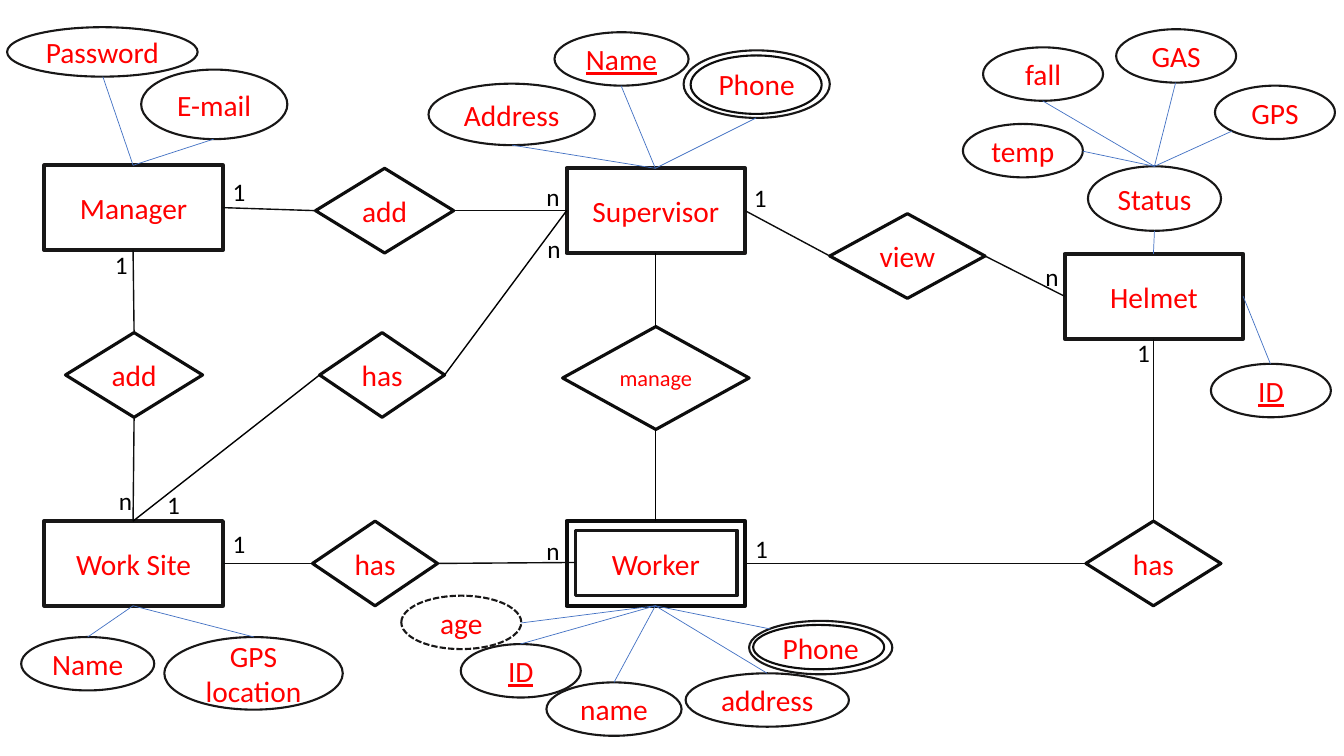
from dataclasses import dataclass
from typing import Any

from pptx import Presentation
from pptx.dml.color import RGBColor
from pptx.enum.dml import MSO_LINE
from pptx.enum.shapes import MSO_CONNECTOR, MSO_SHAPE
from pptx.enum.text import MSO_ANCHOR, MSO_AUTO_SIZE, PP_ALIGN
from pptx.oxml.ns import qn
from pptx.util import Pt

RECTANGLE, DIAMOND, OVAL = MSO_SHAPE.RECTANGLE, MSO_SHAPE.DIAMOND, MSO_SHAPE.OVAL
STRAIGHT = MSO_CONNECTOR.STRAIGHT
DASHED = MSO_LINE.SQUARE_DOT
MIDDLE, CENTER = MSO_ANCHOR.MIDDLE, PP_ALIGN.CENTER
FIT_SHAPE = MSO_AUTO_SIZE.SHAPE_TO_FIT_TEXT

EMU_PER_PX = 9144
INK, DARK, BLACK, RED, BLUE = "181717", "0D0D0D", "000000", "FF0000", "4472C4"
FONT = "Calibri"

SIDES = {
    "top": (0.5, 0), "bottom": (0.5, 1), "left": (0, 0.5), "right": (1, 0.5),
    "top left": (0.146, 0.146), "bottom left": (0.146, 0.854),
}


@dataclass(frozen=True)
class Style:
    shape: Any
    color: str
    weight: float
    dash: Any = None


@dataclass(frozen=True)
class Node:
    text: str
    style: Style
    left: int
    top: int
    width: int
    height: int
    size: int = 21
    underline: bool = False

    def point(self, side: str) -> tuple[int, int]:
        across, down = SIDES[side]
        return round(self.left + across * self.width), round(self.top + down * self.height)


@dataclass(frozen=True)
class Link:
    start: str
    start_side: str
    end: str
    end_side: str
    color: str = DARK
    weight: float = 1


@dataclass(frozen=True)
class Cardinality:
    text: str
    left: int
    top: int


ENTITY = Style(RECTANGLE, INK, 3)
WEAK_ENTITY = Style(RECTANGLE, DARK, 3)
INNER_BOX = Style(RECTANGLE, INK, 2.25)
RELATION = Style(DIAMOND, DARK, 2.25)
ATTRIBUTE = Style(OVAL, INK, 1.5)
DERIVED = Style(OVAL, INK, 1.5, DASHED)
INNER_OVAL = Style(OVAL, DARK, 1.5)

NODES = {
    "manager": Node("Manager", ENTITY, 44, 164, 177, 84),
    "worker": Node("Worker", WEAK_ENTITY, 562, 517, 177, 84),
    "site": Node("Work Site", ENTITY, 44, 517, 177, 84),
    "helmet": Node("Helmet", ENTITY, 1056, 252, 177, 84),
    "supervisor": Node("Supervisor", ENTITY, 562, 167, 177, 84),
    "worker inner": Node("", INNER_BOX, 571, 526, 160, 65),
    "manage": Node("manage", RELATION, 558, 324, 185, 102, size=16),
    "helmet has": Node("has", RELATION, 1077, 517, 134, 84),
    "site has": Node("has", RELATION, 310, 517, 124, 84),
    "view": Node("view", RELATION, 823, 212, 154, 84),
    "add supervisor": Node("add", RELATION, 313, 167, 137, 84),
    "add site": Node("add", RELATION, 65, 330, 136, 84),
    "supervisor has": Node("has", RELATION, 317, 330, 124, 84),
    "worker name": Node("name", ATTRIBUTE, 542, 677, 134, 53),
    "worker address": Node("address", ATTRIBUTE, 680, 668, 162, 53),
    "worker id": Node("ID", ATTRIBUTE, 457, 639, 119, 53, underline=True),
    "worker phone": Node("Phone", ATTRIBUTE, 743, 616, 142, 53),
    "worker phone inner": Node("", INNER_OVAL, 747, 620, 130, 44),
    "worker age": Node("age", DERIVED, 398, 591, 119, 53),
    "site name": Node("Name", ATTRIBUTE, 21, 632, 132, 53),
    "site location": Node("GPS location", ATTRIBUTE, 163, 632, 177, 72),
    "email": Node("E-mail", ATTRIBUTE, 140, 69, 145, 69),
    "password": Node("Password", ATTRIBUTE, 7, 27, 189, 49),
    "phone": Node("Phone", ATTRIBUTE, 678, 50, 145, 67),
    "phone inner": Node("", INNER_OVAL, 685, 55, 130, 58),
    "name": Node("Name", ATTRIBUTE, 550, 32, 133, 53, underline=True),
    "address": Node("Address", ATTRIBUTE, 425, 83, 165, 61),
    "helmet id": Node("ID", ATTRIBUTE, 1201, 361, 119, 53, underline=True),
    "status": Node("Status", ATTRIBUTE, 1079, 165, 132, 64),
    "gas": Node("GAS", ATTRIBUTE, 1107, 29, 119, 53),
    "gps": Node("GPS", ATTRIBUTE, 1205, 85, 119, 53),
    "fall": Node("fall", ATTRIBUTE, 975, 47, 119, 53),
    "temp": Node("temp", ATTRIBUTE, 955, 123, 119, 53),
}

RELATION_LINKS = [
    Link("supervisor", "bottom", "manage", "top", BLACK),
    Link("manage", "bottom", "worker", "top", BLACK),
    Link("manager", "right", "add supervisor", "left"),
    Link("add supervisor", "right", "supervisor", "left"),
    Link("supervisor", "right", "view", "left"),
    Link("view", "right", "helmet", "left"),
    Link("helmet", "bottom", "helmet has", "top"),
    Link("helmet has", "left", "worker", "right"),
    Link("site has", "left", "site", "right"),
    Link("site has", "right", "worker inner", "left"),
    Link("site", "top", "add site", "bottom"),
    Link("add site", "top", "manager", "bottom"),
    Link("supervisor", "left", "supervisor has", "right", BLACK),
    Link("supervisor has", "left", "site", "top", BLACK),
]

ATTRIBUTE_SIDES = {
    ("supervisor", "top"): {"phone": "bottom", "name": "bottom", "address": "bottom"},
    ("manager", "top"): {"password": "bottom", "email": "bottom"},
    ("site", "bottom"): {"site location": "top", "site name": "top"},
    ("worker", "bottom"): {
        "worker id": "top", "worker name": "top", "worker address": "top",
        "worker phone": "top left", "worker age": "right",
    },
    ("helmet", "right"): {"helmet id": "top"},
    ("helmet", "top"): {"status": "bottom"},
    ("status", "top"): {
        "gps": "bottom left", "fall": "bottom", "temp": "right", "gas": "bottom",
    },
}

ATTRIBUTE_LINKS = [
    Link(owner, owner_side, attribute, side, BLUE, 0.5)
    for (owner, owner_side), attributes in ATTRIBUTE_SIDES.items()
    for attribute, side in attributes.items()
]

CARDINALITIES = [
    Cardinality("1", 221, 519), Cardinality("1", 738, 176), Cardinality("1", 739, 524),
    Cardinality("1", 1118, 330), Cardinality("1", 221, 170), Cardinality("1", 104, 242),
    Cardinality("1", 156, 481), Cardinality("n", 108, 477), Cardinality("n", 533, 227),
    Cardinality("n", 532, 526), Cardinality("n", 532, 175), Cardinality("n", 1027, 254),
]


def px(*lengths: int) -> list[int]:
    return [length * EMU_PER_PX for length in lengths]


def paint(color_format: Any, color: str) -> None:
    color_format.rgb = RGBColor.from_string(color)


def apply(target: Any, values: dict[str, Any]) -> None:
    for name, value in values.items():
        setattr(target, name, value)


def write(box: Any, text: str, color: str, frame: dict, para: dict, font: dict) -> None:
    apply(box.text_frame, frame)
    paragraph = box.text_frame.paragraphs[0]
    apply(paragraph, para)
    span = paragraph.add_run()
    span.text = text
    apply(span.font, {"name": FONT, **font})
    paint(span.font.color, color)


def draw_node(page: Any, node: Node) -> None:
    style = node.style
    box = page.shapes.add_shape(style.shape, *px(node.left, node.top, node.width, node.height))
    box.shadow.inherit = False
    box.fill.background()
    paint(box.line.color, style.color)
    apply(box.line, {"width": Pt(style.weight), "dash_style": style.dash})
    if node.text:
        write(box, node.text, RED,
              {"word_wrap": True, "vertical_anchor": MIDDLE, "margin_left": 0, "margin_right": 0},
              {"alignment": CENTER},
              {"size": Pt(node.size), "underline": node.underline or None})


def draw_link(page: Any, link: Link) -> None:
    start = NODES[link.start].point(link.start_side)
    end = NODES[link.end].point(link.end_side)
    line = page.shapes.add_connector(STRAIGHT, *px(*start, *end))
    paint(line.line.color, link.color)
    line.line.width = Pt(link.weight)
    properties = line._element.spPr
    properties.append(properties.makeelement(qn("a:effectLst"), {}))


def draw_cardinality(page: Any, mark: Cardinality) -> None:
    box = page.shapes.add_textbox(*px(mark.left, mark.top, 33, 40))
    write(box, mark.text, BLACK, {"word_wrap": False, "auto_size": FIT_SHAPE}, {},
          {"size": Pt(18)})


def main() -> None:
    deck = Presentation()
    deck.slide_width, deck.slide_height = px(1333, 750)
    page = deck.slides.add_slide(deck.slide_layouts[6])
    for node in NODES.values():
        draw_node(page, node)
    for link in RELATION_LINKS + ATTRIBUTE_LINKS:
        draw_link(page, link)
    for mark in CARDINALITIES:
        draw_cardinality(page, mark)
    deck.save("out.pptx")


if __name__ == "__main__":
    main()
